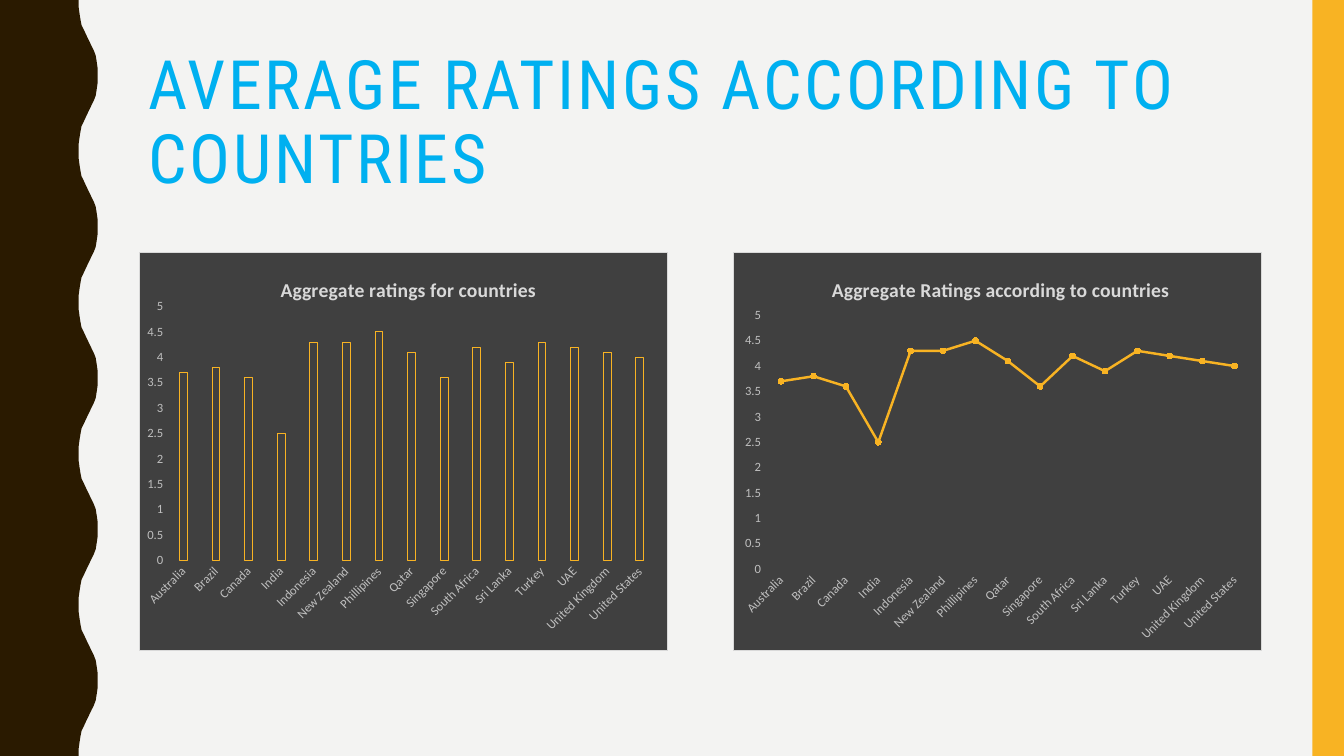
from dataclasses import dataclass

from lxml import etree
from pptx import Presentation
from pptx.chart.data import CategoryChartData
from pptx.dml.color import RGBColor
from pptx.enum.chart import XL_CHART_TYPE as ChartType, XL_MARKER_STYLE as MarkerStyle
from pptx.enum.chart import XL_TICK_MARK as TickMark
from pptx.enum.text import MSO_ANCHOR as Anchor, MSO_AUTO_SIZE as AutoSize
from pptx.oxml import parse_xml
from pptx.oxml.ns import nsdecls, qn
from pptx.util import Pt

BROWN, AMBER, PALE_AMBER = "2A1A00", "F8B323", "FBD17B"
PAPER, SKY, CHARCOAL = "F3F3F2", "00B0F0", "404040"
TITLE_GREY, LABEL_GREY = "D9D9D9", "BFBFBF"

RATINGS = {
    "Australia": 3.7, "Brazil": 3.8, "Canada": 3.6, "India": 2.5, "Indonesia": 4.3,
    "New Zealand": 4.3, "Phillipines": 4.5, "Qatar": 4.1, "Singapore": 3.6,
    "South Africa": 4.2, "Sri Lanka": 3.9, "Turkey": 4.3, "UAE": 4.2,
    "United Kingdom": 4.1, "United States": 4,
}

# Half a wave of the left edge; the other half mirrors it.
HALF_WAVE = [
    (56.2, 0), (56.2, 5), (56.9, 10), (57.6, 14.4), (58.3, 18), (59.8, 21), (61.2, 24),
    (62.6, 27), (64.1, 30), (65.5, 33), (67, 36), (68.4, 39.6), (69.1, 44), (69.8, 49),
    (69.8, 54),
]
WAVE_HEIGHT, WAVE_COUNT = 108, 5


@dataclass
class RatingChart:
    kind: ChartType
    title: str
    left: float
    title_at: tuple[float, float]
    plot_area: tuple[float, float, float, float]


CHARTS = [
    RatingChart(ChartType.COLUMN_CLUSTERED, "Aggregate ratings for countries",
                99.4, (0.26, 0.05), (0.052, 0.136, 0.926, 0.638)),
    RatingChart(ChartType.LINE_MARKERS, "Aggregate Ratings according to countries",
                523.4, (0.18, 0.05), (0.06, 0.158, 0.92, 0.638)),
]


def rgb(color: str) -> RGBColor:
    return RGBColor.from_string(color)


def paint(shape, color: str) -> None:
    shape.fill.solid()
    shape.fill.fore_color.rgb = rgb(color)
    shape.line.fill.background()
    shape.shadow.inherit = False


def add_wave(page) -> None:
    wave = HALF_WAVE + [(x, WAVE_HEIGHT - y) for x, y in reversed(HALF_WAVE[:-1])]
    edge = [(Pt(x), Pt(y + turn * WAVE_HEIGHT)) for turn in range(WAVE_COUNT) for x, y in wave]
    builder = page.shapes.build_freeform(0, 0)
    builder.add_line_segments(edge + [(0, Pt(540))], close=True)
    paint(builder.convert_to_shape(), BROWN)


def write_title(page, text: str) -> None:
    box = page.shapes.title
    box.left, box.top, box.width, box.height = Pt(98.6), Pt(30.2), Pt(801.4), Pt(117.4)
    frame = box.text_frame
    frame.word_wrap, frame.auto_size = True, AutoSize.NONE
    frame.vertical_anchor = Anchor.MIDDLE
    para = frame.paragraphs[0]
    para.alignment, para.line_spacing = 1, 0.9
    span = para.add_run()
    span.text = text
    span.font.name, span.font.size = "Roboto Condensed", Pt(48.6)
    span.font.color.rgb = rgb(SKY)
    span.font._element.set("spc", "200")


def place(parent, index: int, values: tuple[float, ...], inner: bool = False) -> None:
    """Give a chart part a manual layout, in fractions of the chart."""
    for old in parent.findall(qn("c:layout")):
        parent.remove(old)
    layout = etree.Element(qn("c:layout"))
    manual = etree.SubElement(layout, qn("c:manualLayout"))
    settings = [("layoutTarget", "inner")] if inner else []
    settings += [("xMode", "edge"), ("yMode", "edge")]
    settings += list(zip("xywh", map(str, values)))
    for name, value in settings:
        etree.SubElement(manual, qn(f"c:{name}"), val=value)
    parent.insert(index, layout)


def style_axis(axis) -> None:
    axis.has_major_gridlines = False
    axis.major_tick_mark = axis.minor_tick_mark = TickMark.NONE
    axis.format.line.fill.background()
    font = axis.tick_labels.font
    font.name, font.size = "Calibri", Pt(9)
    font.color.rgb = rgb(LABEL_GREY)


def add_rating_chart(page, item: RatingChart) -> None:
    data = CategoryChartData()
    data.categories = list(RATINGS)
    data.add_series("Series 1", list(RATINGS.values()))
    chart = page.shapes.add_chart(item.kind, Pt(item.left), Pt(180), Pt(378), Pt(285), data).chart
    chart.has_legend = False
    chart.font.name, chart.font.size = "Calibri", Pt(10)
    chart._chartSpace.find(qn("c:chart")).addnext(parse_xml(
        f'<c:spPr {nsdecls("c", "a")}>'
        f'<a:solidFill><a:srgbClr val="{CHARCOAL}"/></a:solidFill>'
        f'<a:ln w="9525"><a:solidFill><a:srgbClr val="{TITLE_GREY}"/></a:solidFill></a:ln>'
        '</c:spPr>'))

    chart.has_title = True
    title = chart.chart_title
    para = title.text_frame.paragraphs[0]
    para.text = item.title
    para.font.name, para.font.size, para.font.bold = "Calibri", Pt(14), True
    para.font.color.rgb = rgb(TITLE_GREY)
    title.include_in_layout = False
    place(title._element, 1, item.title_at)

    style_axis(chart.category_axis)
    style_axis(chart.value_axis)
    chart.category_axis._element.find(qn("c:txPr")).find(qn("a:bodyPr")).set("rot", "-2700000")
    scale = chart.value_axis
    scale.minimum_scale, scale.maximum_scale, scale.major_unit = 0, 5, 0.5

    plot = chart.plots[0]
    plot.vary_by_categories = False
    series = plot.series[0]
    series.format.line.color.rgb = rgb(AMBER)
    if item.kind == ChartType.COLUMN_CLUSTERED:
        plot.gap_width, plot.overlap = 315, -40
        series.format.fill.background()
        series.format.line.width = Pt(0.75)
    else:
        series.smooth = False
        series.format.line.width = Pt(1.75)
        marker = series.marker
        marker.style, marker.size = MarkerStyle.CIRCLE, 4
        marker.format.fill.solid()
        marker.format.fill.fore_color.rgb = rgb(PALE_AMBER)
        marker.format.line.color.rgb = rgb(AMBER)
    place(chart._chartSpace.find(qn("c:chart")).find(qn("c:plotArea")), 0, item.plot_area, True)


def main() -> None:
    deck = Presentation()
    deck.slide_width, deck.slide_height = Pt(960), Pt(540)
    page = deck.slides.add_slide(deck.slide_layouts[5])
    page.background.fill.solid()
    page.background.fill.fore_color.rgb = rgb(PAPER)
    add_wave(page)
    paint(page.shapes.add_shape(1, Pt(937.5), 0, Pt(22.5), Pt(540)), AMBER)
    write_title(page, "AVERAGE RATINGS ACCORDING TO COUNTRIES")
    for item in CHARTS:
        add_rating_chart(page, item)
    deck.save("out.pptx")


if __name__ == "__main__":
    main()
